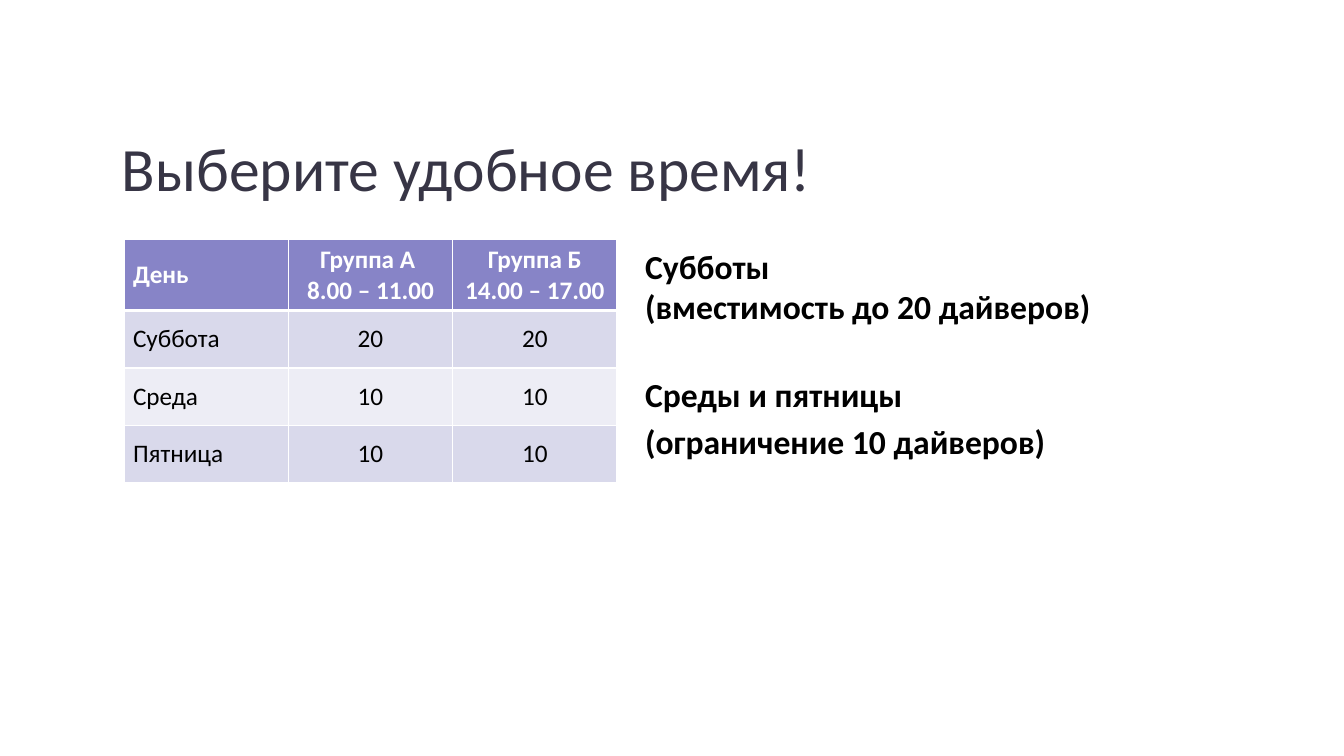
from dataclasses import dataclass

from lxml.etree import SubElement
from pptx import Presentation
from pptx.dml.color import RGBColor
from pptx.enum.text import MSO_ANCHOR, PP_ALIGN
from pptx.oxml.ns import qn
from pptx.util import Inches, Pt


@dataclass(frozen=True)
class Theme:
    font: str = "Calibri"
    title_color: str = "373545"
    text_color: str = "000000"
    light: str = "FFFFFF"
    header_fill: str = "8784C7"
    band_fills: tuple[str, str] = ("D9D9EB", "EDEDF5")
    title_size: int = 44
    body_size: int = 24
    table_size: int = 18
    border: int = 1
    header_border: int = 3


@dataclass(frozen=True)
class TextStyle:
    size: int
    color: str
    bold: bool = False
    align: PP_ALIGN = PP_ALIGN.LEFT


@dataclass(frozen=True)
class Line:
    text: str
    space_before: float = 0


@dataclass(frozen=True)
class TextBlock:
    left: float
    top: float
    width: float
    height: float
    lines: tuple[Line, ...]
    style: TextStyle
    anchor: MSO_ANCHOR = MSO_ANCHOR.TOP
    side_inset: float = 0.1
    bottom_inset: float = 0.05


THEME = Theme()

BLOCKS = (
    TextBlock(
        1.21, 0.77, 9.92, 1.25,
        (Line("Выберите удобное время!"),),
        TextStyle(THEME.title_size, THEME.title_color),
        MSO_ANCHOR.BOTTOM, side_inset=0, bottom_inset=0,
    ),
    TextBlock(
        6.3, 2.39, 4.66, 3.45,
        (
            Line("Субботы \n(вместимость до 20 дайверов)"),
            Line("Среды и пятницы", 34),
            Line("(ограничение 10 дайверов)", 4.8),
        ),
        TextStyle(THEME.body_size, THEME.text_color, bold=True),
    ),
)

SCHEDULE = (
    ("День", "Группа А \n8.00 – 11.00", "Группа Б\n14.00 – 17.00"),
    ("Суббота", "20", "20"),
    ("Среда", "10", "10"),
    ("Пятница", "10", "10"),
)
COLUMN_WIDTH = 1.63
HEADER_HEIGHT = 0.7
ROW_HEIGHT = 0.57


def write_lines(frame, lines: tuple[Line, ...], style: TextStyle) -> None:
    for index, line in enumerate(lines):
        para = frame.paragraphs[0] if index == 0 else frame.add_paragraph()
        para.alignment = style.align
        para.space_before = Pt(line.space_before)
        for part_index, part in enumerate(line.text.split("\n")):
            if part_index:
                para.add_line_break()
            span = para.add_run()
            span.text = part
            span.font.name = THEME.font
            span.font.size = Pt(style.size)
            span.font.bold = style.bold
            span.font.color.rgb = RGBColor.from_string(style.color)


def add_block(page, block: TextBlock) -> None:
    box = page.shapes.add_textbox(
        Inches(block.left), Inches(block.top), Inches(block.width), Inches(block.height)
    )
    frame = box.text_frame
    frame.word_wrap = True
    frame.vertical_anchor = block.anchor
    frame.margin_left = frame.margin_right = Inches(block.side_inset)
    frame.margin_bottom = Inches(block.bottom_inset)
    write_lines(frame, block.lines, block.style)


def set_border(cell, side: str, width: int) -> None:
    edge = SubElement(cell._tc.get_or_add_tcPr(), qn(f"a:{side}"), w=str(Pt(width)))
    fill = SubElement(edge, qn("a:solidFill"))
    SubElement(fill, qn("a:srgbClr"), val=THEME.light)


def style_cell(cell, row: int, column: int, text: str) -> None:
    is_header = row == 0
    for side in ("lnL", "lnR", "lnT", "lnB"):
        touches_header_rule = (row, side) in ((0, "lnB"), (1, "lnT"))
        set_border(cell, side, THEME.header_border if touches_header_rule else THEME.border)
    fill_color = THEME.header_fill if is_header else THEME.band_fills[(row - 1) % 2]
    cell.fill.solid()
    cell.fill.fore_color.rgb = RGBColor.from_string(fill_color)
    cell.vertical_anchor = MSO_ANCHOR.MIDDLE
    cell.margin_left = cell.margin_right = Inches(0.09)
    style = TextStyle(
        THEME.table_size,
        THEME.light if is_header else THEME.text_color,
        is_header,
        PP_ALIGN.CENTER if column else PP_ALIGN.LEFT,
    )
    write_lines(cell.text_frame, tuple(Line(part) for part in text.split("\n")), style)


def add_schedule(page) -> None:
    row_count, column_count = len(SCHEDULE), len(SCHEDULE[0])
    table = page.shapes.add_table(
        row_count, column_count, Inches(1.23), Inches(2.38),
        Inches(COLUMN_WIDTH * column_count),
        Inches(HEADER_HEIGHT + ROW_HEIGHT * (row_count - 1)),
    ).table
    for column in table.columns:
        column.width = Inches(COLUMN_WIDTH)
    for row, texts in enumerate(SCHEDULE):
        table.rows[row].height = Inches(ROW_HEIGHT if row else HEADER_HEIGHT)
        for column, text in enumerate(texts):
            style_cell(table.cell(row, column), row, column, text)


def main() -> None:
    deck = Presentation()
    deck.slide_width = Inches(13.33)
    deck.slide_height = Inches(7.5)
    page = deck.slides.add_slide(deck.slide_layouts[6])
    for block in BLOCKS:
        add_block(page, block)
    add_schedule(page)
    deck.save("out.pptx")


if __name__ == "__main__":
    main()
